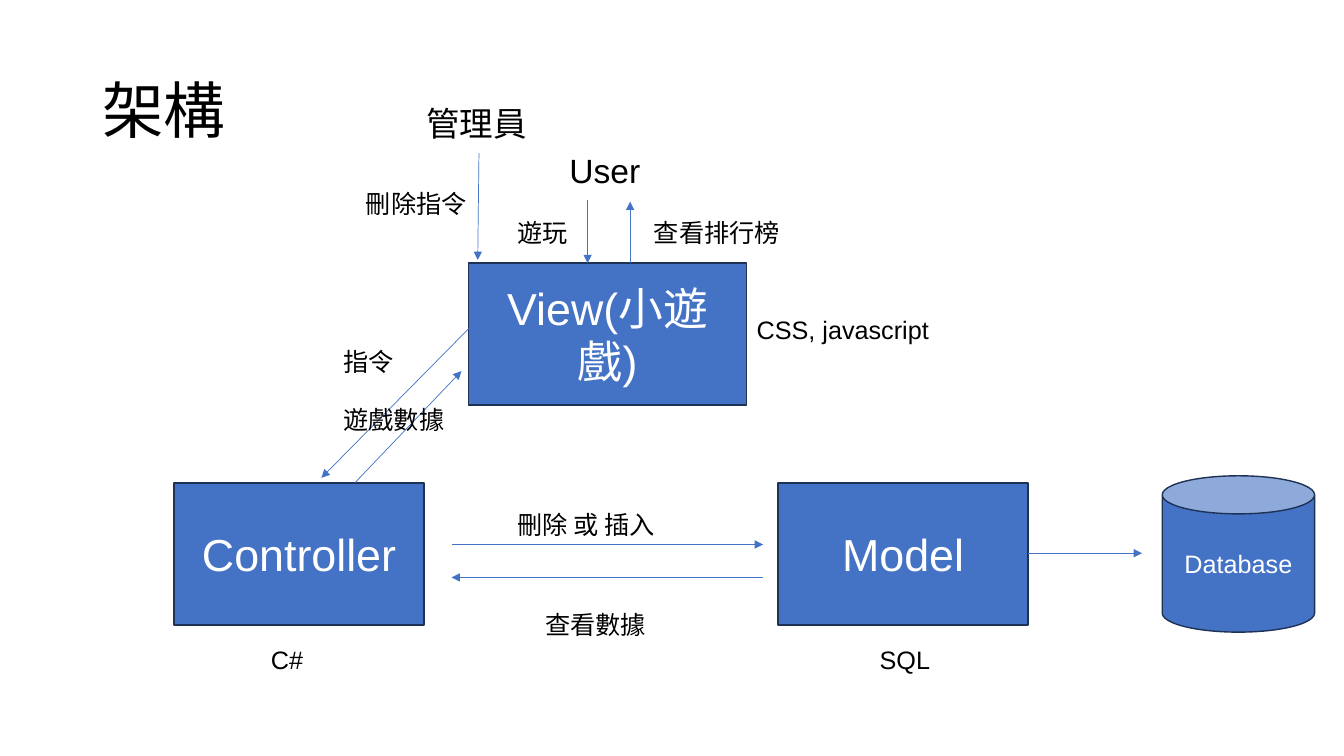
from dataclasses import dataclass

from lxml.etree import SubElement
from pptx import Presentation
from pptx.dml.color import RGBColor as Rgb
from pptx.enum.shapes import MSO_CONNECTOR as Connector, MSO_SHAPE as Preset
from pptx.enum.text import MSO_ANCHOR as Anchor, PP_ALIGN as Align
from pptx.oxml.ns import qn
from pptx.util import Cm, Pt


@dataclass(frozen=True)
class Theme:
    font: str = "Arial"
    ink: Rgb = Rgb(0x00, 0x00, 0x00)
    paper: Rgb = Rgb(0xFF, 0xFF, 0xFF)
    accent: Rgb = Rgb(0x44, 0x72, 0xC4)
    outline: Rgb = Rgb(0x1E, 0x32, 0x56)
    title: int = 44
    block: int = 32
    actor: int = 24
    label: int = 18


@dataclass(frozen=True)
class Box:
    """A region of the slide, in centimetres."""
    left: float
    top: float
    width: float
    height: float

    def inner(self, x, y, width, height):
        return Box(self.left + x, self.top + y, width, height)

    def lengths(self):
        return [Cm(v) for v in (self.left, self.top, self.width, self.height)]


THEME = Theme()
LABEL_HEIGHT, ACTOR_HEIGHT = 1.03, 1.28


# Basic parts
def write(shape, text, size, color, frame_format, para_format):
    frame = shape.text_frame
    for name, value in frame_format.items():
        setattr(frame, name, value)
    para = frame.paragraphs[0]
    for name, value in para_format.items():
        setattr(para, name, value)
    span = para.add_run()
    span.text = text
    for name, value in {"name": THEME.font, "size": Pt(size)}.items():
        setattr(span.font, name, value)
    span.font.color.rgb = color


def add_block(page, box, text, preset=Preset.RECTANGLE, size=THEME.block):
    shape = page.shapes.add_shape(preset, *box.lengths())
    shape.shadow.inherit = False
    shape.fill.solid()
    shape.fill.fore_color.rgb = THEME.accent
    shape.line.color.rgb = THEME.outline
    shape.line.width = Pt(1)
    write(shape, text, size, THEME.paper,
          {"word_wrap": True, "vertical_anchor": Anchor.MIDDLE},
          {"alignment": Align.CENTER})


def add_label(page, box, text, x, y, width, size=THEME.label):
    height = ACTOR_HEIGHT if size == THEME.actor else LABEL_HEIGHT
    shape = page.shapes.add_textbox(*box.inner(x, y, width, height).lengths())
    write(shape, text, size, THEME.ink, {"word_wrap": False}, {})


def add_arrow(page, box, start, end):
    points = [Cm(v) for x, y in (start, end)
              for v in (box.left + x, box.top + y)]
    arrow = page.shapes.add_connector(Connector.STRAIGHT, *points)
    arrow.line.color.rgb = THEME.accent
    arrow.line.width = Pt(0.5)
    SubElement(arrow.line._get_or_add_ln(), qn("a:tailEnd"), type="triangle")
    SubElement(arrow._element.spPr, qn("a:effectLst"))


# Regions
def draw_title(page, box):
    shape = page.shapes.add_textbox(*box.lengths())
    write(shape, "架構", THEME.title, THEME.ink,
          {"word_wrap": True, "vertical_anchor": Anchor.MIDDLE},
          {"line_spacing": 0.9})


def draw_view(page, box):
    """The view, with the actors above it."""
    add_block(page, box, "View(小遊戲)")
    for start, end in (((0.26, -2.77), (0.23, -0.08)),
                       ((3, -1.58), (3, 0)),
                       ((4.07, 0), (4.07, -1.55))):
        add_arrow(page, box, start, end)
    for text, x, y, width in (("管理員", -1.32, -4.17, 3.07),
                              ("User", 2.29, -2.97, 2.31)):
        add_label(page, box, text, x, y, width, THEME.actor)
    for text, x, y, width in (("刪除指令", -2.84, -2.01, 3.07),
                              ("遊玩", 0.99, -1.27, 1.8),
                              ("查看排行榜", 4.42, -1.27, 3.71),
                              ("CSS, javascript", box.width, 1.17, 4.9)):
        add_label(page, box, text, x, y, width)


def draw_controller(page, box):
    """The controller, with its traffic to the view and the model."""
    add_block(page, box, "Controller")
    for start, end in (((7.62, -4.09), (3.71, -0.13)),
                       ((4.55, 0), (7.24, -2.82)),
                       ((6.99, 1.55), (14.84, 1.55)),
                       ((14.84, 2.38), (6.99, 2.38))):
        add_arrow(page, box, start, end)
    for text, x, y, width in (("指令", 4.02, -3.58, 1.8),
                              ("遊戲數據", 4.02, -2.11, 3.07),
                              ("刪除 或 插入", 8.41, 0.53, 4.06),
                              ("查看數據", 9.1, 3.07, 3.07),
                              ("C#", 2.19, 3.93, 1.32)):
        add_label(page, box, text, x, y, width)


def draw_model(page, box):
    """The model and its database."""
    add_block(page, box, "Model")
    add_label(page, box, "SQL", 2.31, 3.93, 1.8)
    add_arrow(page, box, (box.width, 1.77), (9.17, 1.77))
    add_block(page, box.inner(9.68, -0.18, 3.84, 3.94), "Database",
              Preset.CAN, THEME.label)


def main():
    deck = Presentation()
    deck.slide_width, deck.slide_height = Cm(33.87), Cm(19.05)
    page = deck.slides.add_slide(deck.slide_layouts[6])
    draw_title(page, Box(2.33, 1.02, 29.21, 3.68))
    draw_view(page, Box(11.81, 6.63, 7.01, 3.58))
    draw_controller(page, Box(4.39, 12.17, 6.3, 3.58))
    draw_model(page, Box(19.61, 12.17, 6.3, 3.58))
    deck.save("out.pptx")


if __name__ == "__main__":
    main()
